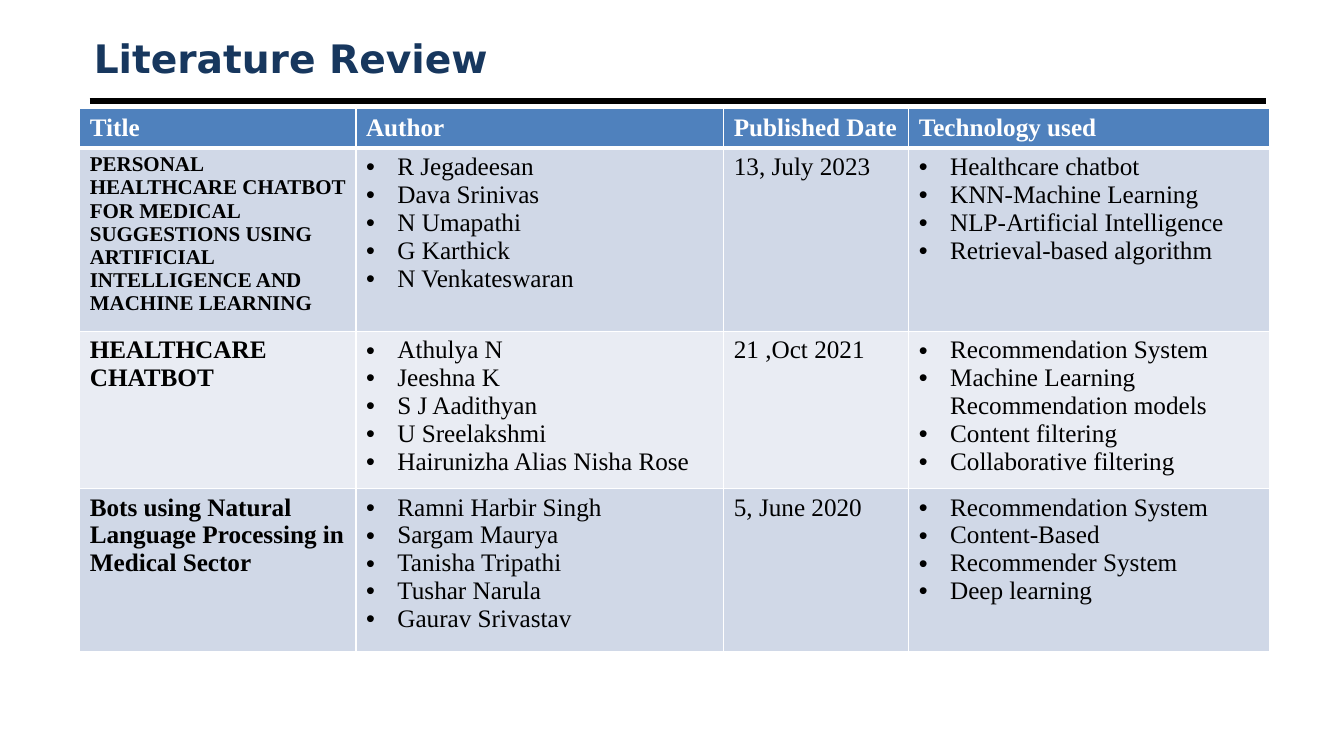
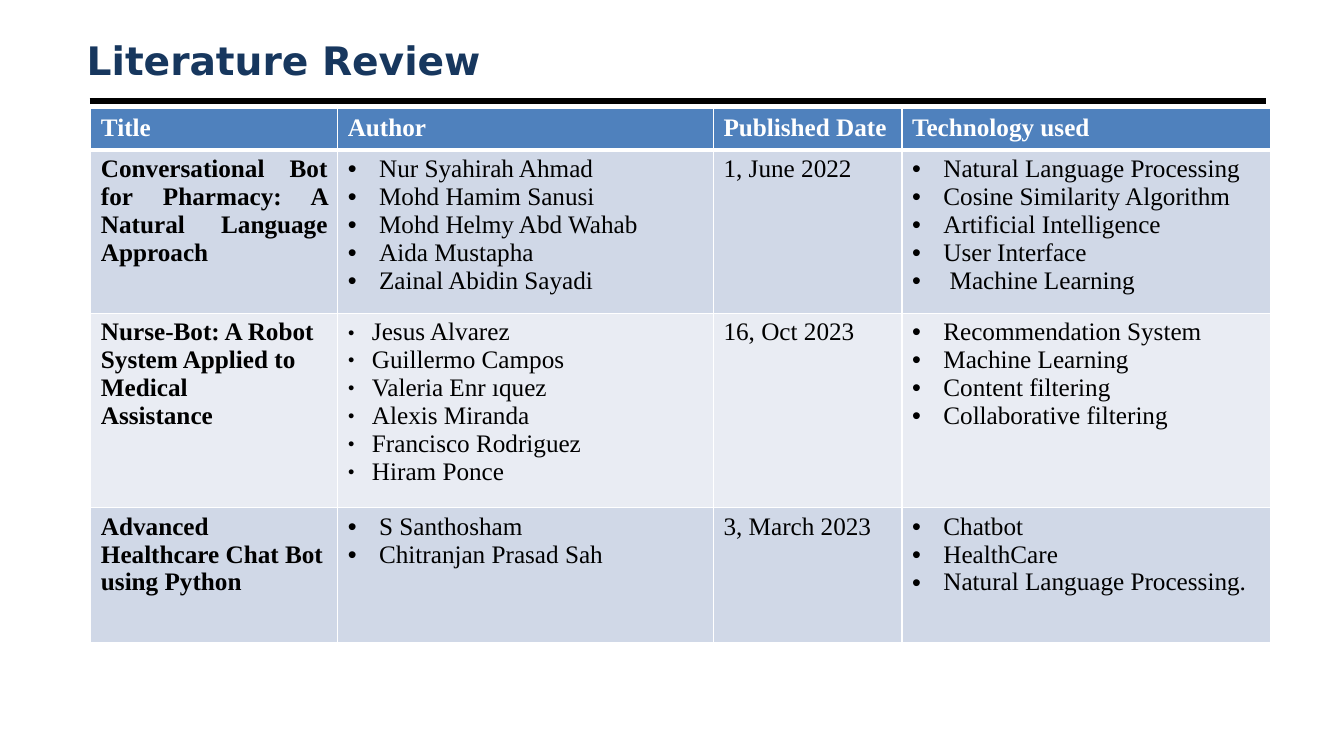
from dataclasses import dataclass

from lxml.etree import SubElement
from pptx import Presentation
from pptx.dml.color import RGBColor
from pptx.enum.shapes import MSO_CONNECTOR
from pptx.enum.text import MSO_ANCHOR, MSO_AUTO_SIZE, PP_ALIGN
from pptx.oxml.ns import qn
from pptx.presentation import Presentation as PresentationType
from pptx.slide import Slide
from pptx.table import _Cell as Cell
from pptx.text.text import _Paragraph as Paragraph
from pptx.util import Cm, Pt


@dataclass(frozen=True)
class Theme:
    navy: str = "17375E"
    header: str = "4F81BD"
    bands: tuple[str, str] = ("D0D8E7", "E9ECF3")
    white: str = "FFFFFF"
    black: str = "000000"
    title_font: str = "DejaVu Sans"
    table_font: str = "Times New Roman"
    title_size: float = 28
    table_size: float = 18
    compact_size: float = 15
    rule_width: float = 4.5
    border_width: float = 0.96
    header_border_width: float = 3


@dataclass(frozen=True)
class BulletStyle:
    character: str
    indent: float
    percent: int


@dataclass(frozen=True)
class Paper:
    title: tuple[str, ...]
    authors: tuple[str, ...]
    published: str
    technologies: tuple[str, ...]
    title_size: float
    title_alignment: PP_ALIGN
    author_bullet: BulletStyle


@dataclass(frozen=True)
class ReviewSlide:
    title_box: tuple[float, float, float, float]
    table_left: float
    columns: tuple[float, ...]
    rows: tuple[float, ...]
    papers: tuple[Paper, ...]


THEME = Theme()
ROUND_BULLET = BulletStyle("•", 0.79, 100)
SMALL_BULLET = BulletStyle("●", 0.61, 45)
TITLE = "Literature Review"
HEADINGS = ("Title", "Author", "Published Date", "Technology used")
TABLE_TOP = 2.74


def paper(
    title: tuple[str, ...],
    authors: tuple[str, ...],
    published: str,
    technologies: tuple[str, ...],
    title_size: float = THEME.table_size,
    title_alignment: PP_ALIGN = PP_ALIGN.LEFT,
    author_bullet: BulletStyle = ROUND_BULLET,
) -> Paper:
    return Paper(title, authors, published, technologies,
                 title_size, title_alignment, author_bullet)


REVIEW_SLIDES = (
    ReviewSlide(
        title_box=(2.11, 0.79, 29.62, 1.35),
        table_left=2.01,
        columns=(6.96, 9.27, 4.66, 9.09),
        rows=(0.99, 4.62, 3.96, 4.11),
        papers=(
            paper(
                ("PERSONAL HEALTHCARE CHATBOT FOR MEDICAL SUGGESTIONS USING "
                 "ARTIFICIAL INTELLIGENCE AND MACHINE LEARNING",),
                ("R Jegadeesan", "Dava Srinivas", "N Umapathi", "G Karthick",
                 "N Venkateswaran"),
                "13, July 2023",
                ("Healthcare chatbot", "KNN-Machine Learning",
                 "NLP-Artificial Intelligence", "Retrieval-based algorithm"),
                title_size=THEME.compact_size,
            ),
            paper(
                ("HEALTHCARE CHATBOT",),
                ("Athulya N", "Jeeshna K", "S J Aadithyan", "U Sreelakshmi",
                 "Hairunizha Alias Nisha Rose"),
                "21 ,Oct 2021",
                ("Recommendation System", "Machine Learning Recommendation models",
                 "Content filtering", "Collaborative filtering"),
            ),
            paper(
                ("Bots using Natural Language Processing in ", "Medical Sector"),
                ("Ramni Harbir Singh", "Sargam Maurya", "Tanisha Tripathi",
                 "Tushar Narula", "Gaurav Srivastav"),
                "5, June 2020",
                ("Recommendation System", "Content-Based", "Recommender System",
                 "Deep learning"),
            ),
        ),
    ),
    ReviewSlide(
        title_box=(1.93, 0.79, 13.39, 1.45),
        table_left=2.29,
        columns=(6.22, 9.47, 4.75, 9.3),
        rows=(1.04, 4.11, 4.9, 3.4),
        papers=(
            paper(
                ("Conversational Bot for Pharmacy: A Natural Language Approach",),
                ("Nur Syahirah Ahmad", "Mohd Hamim Sanusi", "Mohd Helmy Abd Wahab",
                 "Aida Mustapha", "Zainal Abidin Sayadi"),
                "1, June 2022",
                ("Natural Language Processing", "Cosine Similarity Algorithm",
                 "Artificial Intelligence", "User Interface", " Machine Learning"),
                title_alignment=PP_ALIGN.JUSTIFY,
            ),
            paper(
                ("Nurse-Bot: A Robot System Applied to Medical", "Assistance"),
                ("Jesus Alvarez", "Guillermo Campos", "Valeria Enr ıquez",
                 "Alexis Miranda", "Francisco Rodriguez", "Hiram Ponce"),
                "16, Oct 2023",
                ("Recommendation System", "Machine Learning", "Content filtering",
                 "Collaborative filtering"),
                author_bullet=SMALL_BULLET,
            ),
            paper(
                ("Advanced Healthcare Chat Bot using Python",),
                ("S Santhosham", "Chitranjan Prasad Sah"),
                "3, March 2023",
                ("Chatbot", "HealthCare", "Natural Language Processing."),
            ),
        ),
    ),
)


def set_font(paragraph: Paragraph, name: str, size: float, color: str, bold: bool) -> None:
    font = paragraph.font
    font.name = name
    font.size = Pt(size)
    font.bold = bold
    font.color.rgb = RGBColor.from_string(color)


def set_bullet(paragraph: Paragraph, bullet: BulletStyle) -> None:
    properties = paragraph._p.get_or_add_pPr()
    properties.set("marL", str(Cm(bullet.indent)))
    properties.set("indent", str(-Cm(bullet.indent)))
    color = SubElement(properties, qn("a:buClr"))
    SubElement(color, qn("a:srgbClr"), val=THEME.black)
    SubElement(properties, qn("a:buSzPct"), val=str(bullet.percent * 1000))
    SubElement(properties, qn("a:buFont"), typeface="Arial")
    SubElement(properties, qn("a:buChar"), char=bullet.character)


def style_cell(cell: Cell, row: int) -> None:
    thick_side = {0: "lnB", 1: "lnT"}.get(row)
    properties = cell._tc.get_or_add_tcPr()
    for side in ("lnL", "lnR", "lnT", "lnB"):
        width = THEME.header_border_width if side == thick_side else THEME.border_width
        border = SubElement(properties, qn(f"a:{side}"), w=str(Pt(width)))
        fill = SubElement(border, qn("a:solidFill"))
        SubElement(fill, qn("a:srgbClr"), val=THEME.white)
    cell.fill.solid()
    color = THEME.header if row == 0 else THEME.bands[(row - 1) % 2]
    cell.fill.fore_color.rgb = RGBColor.from_string(color)


def write_cell(
    cell: Cell,
    lines: tuple[str, ...],
    color: str = THEME.black,
    size: float = THEME.table_size,
    bold: bool = False,
    alignment: PP_ALIGN = PP_ALIGN.LEFT,
    bullet: BulletStyle | None = None,
) -> None:
    cell.text_frame.text = "\n".join(lines)
    for paragraph in cell.text_frame.paragraphs:
        paragraph.alignment = alignment
        if bullet:
            set_bullet(paragraph, bullet)
        set_font(paragraph, THEME.table_font, size, color, bold)


def add_title(slide: Slide, box: tuple[float, float, float, float]) -> None:
    title = slide.shapes.title
    title.left, title.top, title.width, title.height = map(Cm, box)
    frame = title.text_frame
    frame.text = TITLE
    frame.auto_size = MSO_AUTO_SIZE.NONE
    frame.vertical_anchor = MSO_ANCHOR.MIDDLE
    paragraph = frame.paragraphs[0]
    paragraph.alignment = PP_ALIGN.LEFT
    set_font(paragraph, THEME.title_font, THEME.title_size, THEME.navy, True)


def add_rule(slide: Slide) -> None:
    rule = slide.shapes.add_connector(
        MSO_CONNECTOR.STRAIGHT, Cm(2.26), Cm(2.54), Cm(31.9), Cm(2.54))
    rule.line.color.rgb = RGBColor.from_string(THEME.black)
    rule.line.width = Pt(THEME.rule_width)
    SubElement(rule._element.spPr, qn("a:effectLst"))


def add_review_table(slide: Slide, review: ReviewSlide) -> None:
    table = slide.shapes.add_table(
        len(review.rows), len(review.columns), Cm(review.table_left), Cm(TABLE_TOP),
        Cm(sum(review.columns)), Cm(sum(review.rows))).table
    for column, width in zip(table.columns, review.columns):
        column.width = Cm(width)
    for index, (row, height) in enumerate(zip(table.rows, review.rows)):
        row.height = Cm(height)
        for cell in row.cells:
            style_cell(cell, index)
    for cell, heading in zip(table.rows[0].cells, HEADINGS):
        write_cell(cell, (heading,), color=THEME.white, bold=True)
    for index, entry in enumerate(review.papers, start=1):
        title, authors, published, technologies = table.rows[index].cells
        write_cell(title, entry.title, size=entry.title_size, bold=True,
                   alignment=entry.title_alignment)
        write_cell(authors, entry.authors, bullet=entry.author_bullet)
        write_cell(published, (entry.published,))
        write_cell(technologies, entry.technologies, bullet=ROUND_BULLET)


def add_review_slide(presentation: PresentationType, review: ReviewSlide) -> None:
    slide = presentation.slides.add_slide(presentation.slide_layouts.get_by_name("Title Only"))
    add_rule(slide)
    add_title(slide, review.title_box)
    add_review_table(slide, review)


def main() -> None:
    presentation = Presentation()
    presentation.slide_width = Cm(33.87)
    presentation.slide_height = Cm(19.05)
    for review in REVIEW_SLIDES:
        add_review_slide(presentation, review)
    presentation.save("out.pptx")


if __name__ == "__main__":
    main()
